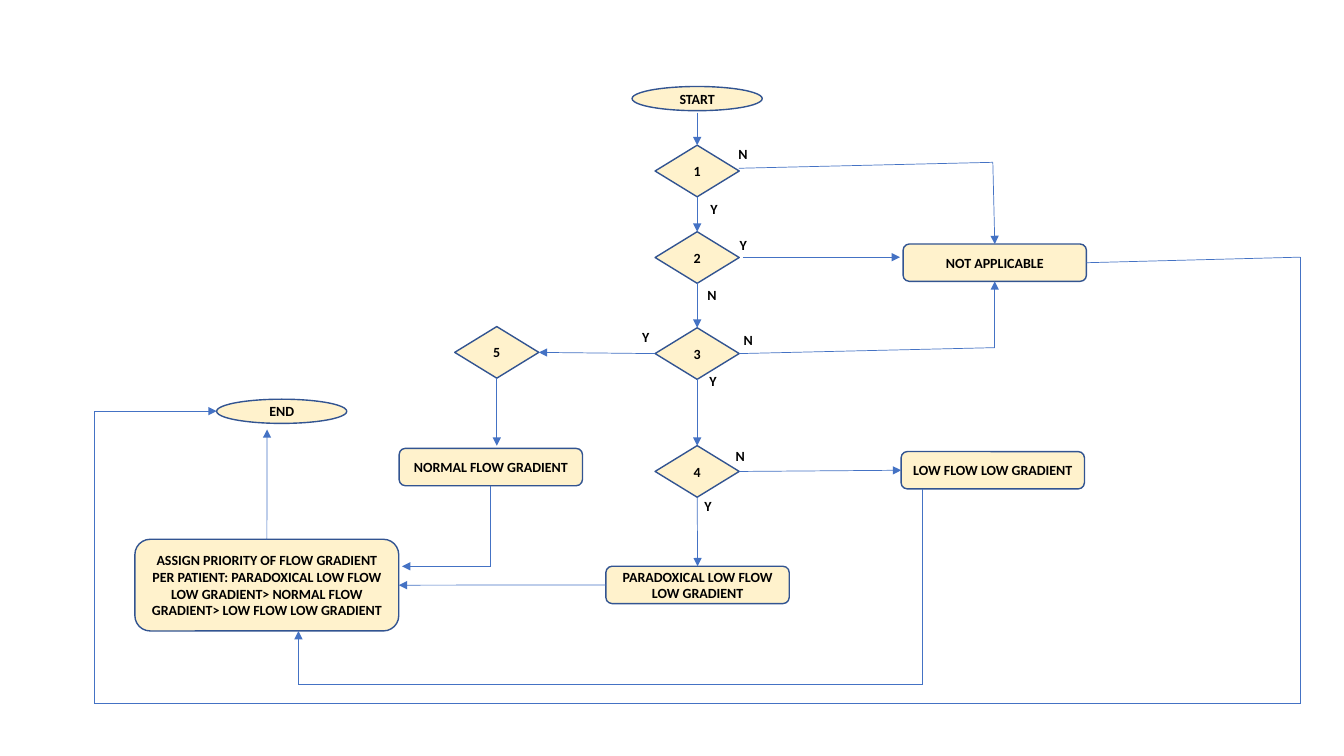
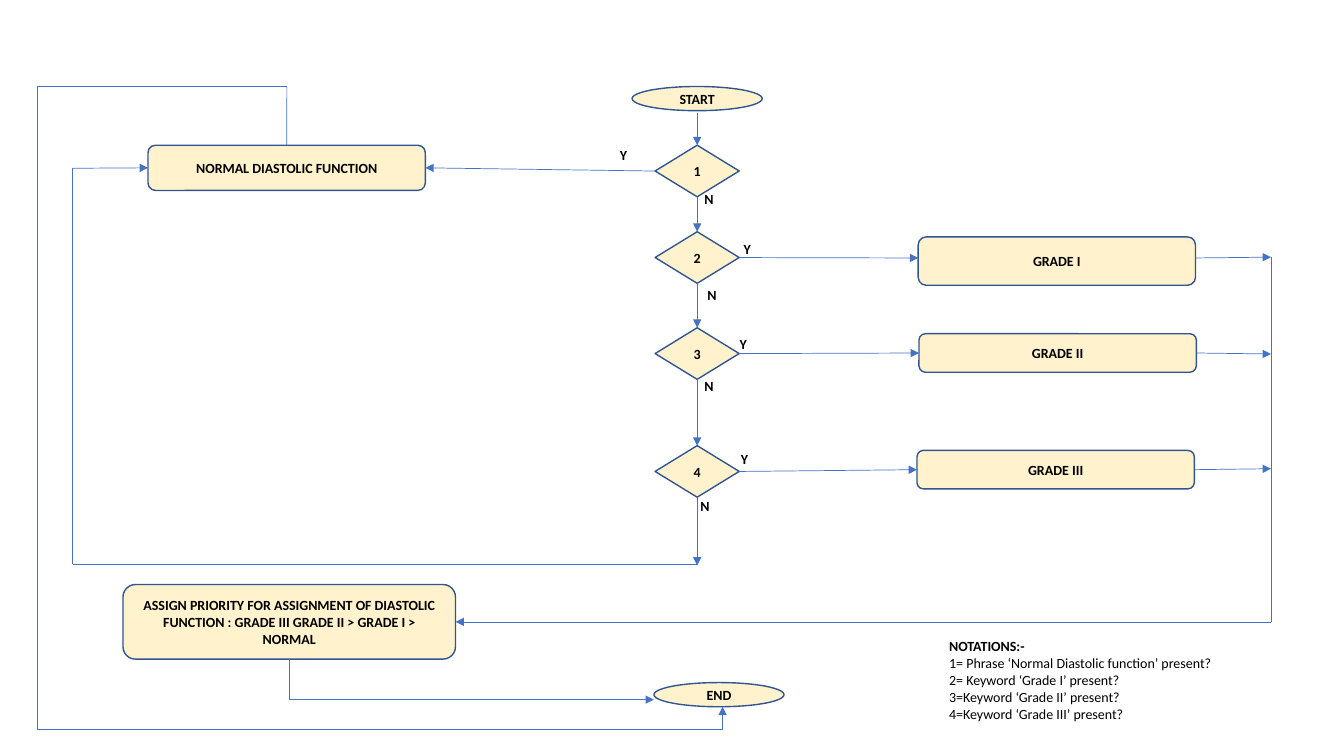
from itertools import pairwise

from lxml.etree import SubElement
from pptx import Presentation
from pptx.dml.color import RGBColor
from pptx.enum.shapes import MSO_CONNECTOR as Link, MSO_SHAPE as Preset
from pptx.enum.text import MSO_ANCHOR as Anchor, MSO_AUTO_SIZE as AutoSize, PP_ALIGN as Align
from pptx.oxml.ns import qn
from pptx.util import Cm, Pt

SPINE_X = 17.57
DECISION_TOPS = (3.66, 5.84, 8.26, 11.23)
SIDES = {"top": 0, "left": 1, "bottom": 2, "right": 3}


def color(value):
    return RGBColor.from_string(value)


class Flowchart:
    FILL, OUTLINE, FLOW, INK = "FFF2CC", "325491", "4472C4", "000000"
    FONT = {"name": "Calibri", "size": Pt(10)}
    TERMINAL = (3.28, 0.61)
    DECISION = (2.12, 1.3)
    OUTCOME = (4.62, 0.94)

    def __init__(self):
        self.deck = Presentation()
        self.deck.slide_width, self.deck.slide_height = Cm(33.87), Cm(19.05)
        self.shapes = None

    def new_slide(self):
        self.shapes = self.deck.slides.add_slide(self.deck.slide_layouts[6]).shapes

    def add_text(self, paragraph, text, bold=True):
        run = paragraph.add_run()
        run.text = text
        for attribute, value in {**self.FONT, "bold": bold}.items():
            setattr(run.font, attribute, value)
        run.font.color.rgb = color(self.INK)

    def node(self, preset, text, left, top, size):
        node = self.shapes.add_shape(preset, *map(Cm, (left, top, *size)))
        node.shadow.inherit = False
        node.fill.solid()
        node.fill.fore_color.rgb = color(self.FILL)
        node.line.color.rgb = color(self.OUTLINE)
        node.line.width = Pt(1)
        frame = node.text_frame
        for attribute, value in {"word_wrap": True, "vertical_anchor": Anchor.MIDDLE}.items():
            setattr(frame, attribute, value)
        frame.paragraphs[0].alignment = Align.CENTER
        self.add_text(frame.paragraphs[0], text)
        return node

    def terminal(self, text, left, top):
        return self.node(Preset.OVAL, text, left, top, self.TERMINAL)

    def decision(self, text, left, top):
        return self.node(Preset.FLOWCHART_DECISION, text, left, top, self.DECISION)

    def box(self, text, left, top, size=OUTCOME):
        return self.node(Preset.ROUNDED_RECTANGLE, text, left, top, size)

    def note(self, lines, left, top, size):
        note = self.shapes.add_textbox(*map(Cm, (left, top, *size)))
        frame = note.text_frame
        frame.word_wrap = True
        frame.auto_size = AutoSize.SHAPE_TO_FIT_TEXT
        for index, line in enumerate(lines):
            paragraph = frame.add_paragraph() if index else frame.paragraphs[0]
            self.add_text(paragraph, line, bold=index == 0)

    def answers(self, places):
        for answer, left, top in places:
            self.note([answer], left, top, (1, 0.68))

    def locate(self, stop):
        if not isinstance(stop[1], str):
            return tuple(map(Cm, stop))
        node, side = stop
        x = {"left": 0, "right": node.width}.get(side, node.width // 2)
        y = {"top": 0, "bottom": node.height}.get(side, node.height // 2)
        return node.left + x, node.top + y

    def route(self, *stops):
        for start, end in pairwise(stops):
            link = self.shapes.add_connector(Link.STRAIGHT, *self.locate(start), *self.locate(end))
            for stop, join in ((start, link.begin_connect), (end, link.end_connect)):
                if isinstance(stop[1], str):
                    join(stop[0], SIDES[stop[1]])
            link.line.color.rgb = color(self.FLOW)
            link.line.width = Pt(0.5)
            properties = link.element.spPr
            if end is stops[-1]:
                SubElement(properties.find(qn("a:ln")), qn("a:tailEnd"), type="triangle")
            SubElement(properties, qn("a:effectLst"))

    def spine(self):
        self.terminal("START", SPINE_X - self.TERMINAL[0] / 2, 2.18)
        left = SPINE_X - self.DECISION[0] / 2
        decisions = [self.decision(str(number), left, top)
                     for number, top in enumerate(DECISION_TOPS, 1)]
        self.route((SPINE_X, 2.84), (decisions[0], "top"))
        for upper, lower in pairwise(decisions):
            self.route((upper, "bottom"), (lower, "top"))
        return decisions


def flow_gradient(chart):
    chart.new_slide()
    first, second, third, fourth = chart.spine()
    fifth = chart.decision("5", 11.46, 8.23)
    normal = chart.box("NORMAL FLOW GRADIENT", 10.06, 11.3)
    not_applicable = chart.box("NOT APPLICABLE", 22.76, 6.15)
    low_flow = chart.box("LOW FLOW LOW GRADIENT", 22.71, 11.38)
    paradoxical = chart.box("PARADOXICAL LOW FLOW LOW GRADIENT", 15.27, 14.27)
    priority = chart.box(
        "ASSIGN PRIORITY OF FLOW GRADIENT PER PATIENT: PARADOXICAL LOW FLOW LOW GRADIENT> "
        "NORMAL FLOW GRADIENT> LOW FLOW LOW GRADIENT", 3.4, 13.59, (6.65, 2.31))
    chart.terminal("END", 5.46, 10.06)

    chart.route((18.62, 4.24), (25.02, 4.09), (not_applicable, "top"))
    chart.route((18.72, 6.48), (22.68, 6.48))
    chart.route((third, "right"), (25.07, 8.76), (not_applicable, "bottom"))
    chart.route((third, "left"), (fifth, "right"))
    chart.route((fifth, "bottom"), (12.52, 11.23))
    chart.route((fourth, "right"), (low_flow, "left"))
    chart.route((fourth, "bottom"), (paradoxical, "top"))
    chart.route((normal, "bottom"), (12.37, 14.27), (10.13, 14.27))
    chart.route((paradoxical, "left"), (priority, "right"))
    chart.route((23.24, 12.32), (23.24, 17.25), (7.52, 17.25), (7.52, 15.9))
    chart.route((priority, "top"), (6.73, 10.82))
    chart.route((not_applicable, "right"), (32.77, 6.48), (32.77, 17.73),
                (2.39, 17.73), (2.39, 10.36), (5.46, 10.36))
    chart.answers([
        ("N", 18.36, 3.53), ("Y", 17.65, 4.93), ("Y", 18.39, 5.84),
        ("N", 17.58, 7.09), ("Y", 15.93, 8.15), ("N", 18.49, 8.23),
        ("Y", 17.63, 9.27), ("N", 18.29, 11.15), ("Y", 17.5, 12.42),
    ])


def diastolic_function(chart):
    chart.new_slide()
    first, second, third, fourth = chart.spine()
    normal = chart.box("NORMAL DIASTOLIC FUNCTION", 3.73, 3.66, (6.99, 1.14))
    chart.box("GRADE I", 23.14, 5.97, (6.99, 1.22))
    grade_two = chart.box("GRADE II", 23.16, 8.41, (6.99, 0.97))
    grade_three = chart.box("GRADE III", 23.11, 11.35, (6.99, 0.97))
    priority = chart.box(
        "ASSIGN PRIORITY FOR ASSIGNMENT OF DIASTOLIC FUNCTION : "
        "GRADE III GRADE II > GRADE I > NORMAL", 3.1, 14.73, (8.38, 1.88))
    chart.terminal("END", 16.48, 17.2)

    trunk_x = 32.03
    chart.route((first, "left"), (normal, "right"))
    chart.route((second, "right"), (23.14, 6.5))
    chart.route((third, "right"), (grade_two, "left"))
    chart.route((fourth, "right"), (grade_three, "left"))
    chart.route((fourth, "bottom"), (SPINE_X, 14.25))
    chart.route((SPINE_X, 14.22), (1.83, 14.22), (1.83, 4.24), (normal, "left"))
    chart.route((30.13, 6.5), (trunk_x, 6.48))
    chart.route((grade_two, "right"), (trunk_x, 8.92))
    chart.route((grade_three, "right"), (trunk_x, 11.81))
    chart.route((trunk_x, 6.48), (trunk_x, 15.67), (priority, "right"))
    chart.route((priority, "bottom"), (7.29, 17.63), (16.48, 17.63))
    chart.route((normal, "top"), (7.23, 2.18), (0.94, 2.18), (0.94, 18.39),
                (18.21, 18.39), (18.21, 17.81))
    chart.answers([
        ("Y", 15.37, 3.56), ("N", 17.5, 4.67), ("Y", 18.49, 5.94), ("N", 17.58, 7.09),
        ("Y", 18.39, 8.33), ("N", 17.5, 9.4), ("Y", 18.42, 11.23), ("N", 17.4, 12.42),
    ])
    chart.note([
        "NOTATIONS:-",
        "1= Phrase ‘Normal Diastolic function’ present?",
        "2= Keyword ‘Grade I’ present?",
        "3=Keyword ‘Grade II’ present?",
        "4=Keyword ‘Grade III’ present?",
    ], 23.67, 15.95, (8.38, 2.39))


def main():
    chart = Flowchart()
    flow_gradient(chart)
    diastolic_function(chart)
    chart.deck.save("out.pptx")


if __name__ == "__main__":
    main()
